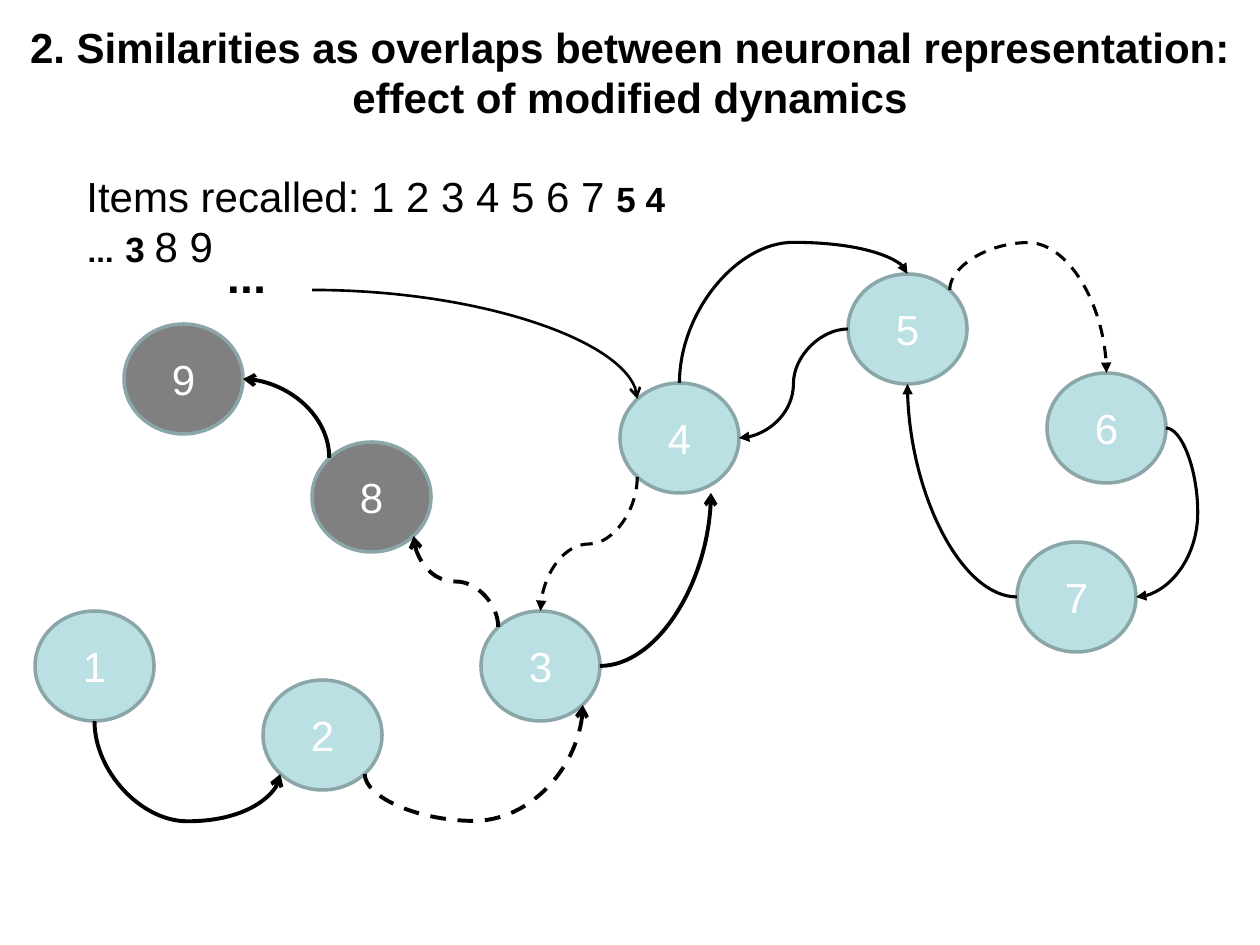
"""Build a slide of recalled items as a graph of overlapping neuronal representations."""
from dataclasses import dataclass
from typing import Optional, Union

from lxml import etree
from pptx import Presentation
from pptx.dml.color import RGBColor
from pptx.enum.dml import MSO_LINE
from pptx.enum.shapes import MSO_CONNECTOR, MSO_SHAPE
from pptx.enum.text import MSO_ANCHOR, PP_ALIGN
from pptx.oxml.ns import qn
from pptx.util import Pt

EMU_PER_PX = 914400 / 126
CURVE, ELLIPSE, DASH = MSO_CONNECTOR.CURVE, MSO_SHAPE.OVAL, MSO_LINE.DASH
MIDDLE, TOP = MSO_ANCHOR.MIDDLE, MSO_ANCHOR.TOP
CENTER, LEFT = PP_ALIGN.CENTER, PP_ALIGN.LEFT
FONT = "Arial"
COLORS = {
    "ink": "000000",
    "label": "FFFFFF",
    "visited": "BBE0E3",
    "late": "808080",
    "rim": "8AA6A8",
}
ITEM_WIDTH, ITEM_HEIGHT = 119, 110
DIAGONAL = 0.71
SIDES = {
    "N": (0, -1), "S": (0, 1), "W": (-1, 0), "E": (1, 0),
    "NW": (-DIAGONAL, -DIAGONAL), "NE": (DIAGONAL, -DIAGONAL),
    "SW": (-DIAGONAL, DIAGONAL), "SE": (DIAGONAL, DIAGONAL),
}


@dataclass(frozen=True)
class Item:
    left: int
    top: int
    fill: str = "visited"


@dataclass(frozen=True)
class Site:
    item: int
    side: str


@dataclass(frozen=True)
class Point:
    x: int
    y: int


@dataclass(frozen=True)
class Transition:
    start: Union[Site, Point]
    end: Union[Site, Point]
    bend: Optional[float] = None
    width: float = 1.75
    head: str = "triangle"
    dashed: bool = False


@dataclass(frozen=True)
class Words:
    text: str
    size: int
    bold: bool = False


@dataclass(frozen=True)
class Caption:
    left: int
    top: int
    width: int
    height: int
    words: tuple[Words, ...]
    align: PP_ALIGN = LEFT
    anchor: MSO_ANCHOR = TOP
    rtl: bool = True


ITEMS = {
    1: Item(35, 611),
    2: Item(263, 680),
    3: Item(481, 611),
    4: Item(620, 383),
    5: Item(848, 274),
    6: Item(1047, 373),
    7: Item(1017, 542),
    8: Item(312, 442, "late"),
    9: Item(124, 324, "late"),
}
TRANSITIONS = [
    Transition(Site(1, "S"), Site(2, "SW"), 1.89, 2.25, "arrow"),
    Transition(Site(2, "SE"), Site(3, "SE"), -0.68, 2.25, "arrow", True),
    Transition(Site(3, "E"), Point(711, 493), None, 2.25, "arrow"),
    Transition(Site(4, "N"), Site(5, "N"), 1.29),
    Transition(Site(5, "NE"), Site(6, "N"), -0.57, dashed=True),
    Transition(Site(6, "E"), Site(7, "E"), -1.06),
    Transition(Site(7, "W"), Site(5, "S")),
    Transition(Site(5, "W"), Site(4, "E"), 0.5),
    Transition(Site(4, "SW"), Site(3, "N"), 0.5, dashed=True),
    Transition(Site(3, "NW"), Site(8, "SE"), 0.5, 2.25, "arrow", True),
    Transition(Site(8, "NW"), Site(9, "E"), None, 2.25, "arrow"),
    Transition(Point(312, 290), Site(4, "NW"), None, 1.5, "arrow"),
]
CAPTIONS = [
    Caption(0, 18, 1260, 107, (
        Words("2. Similarities as overlaps between neuronal representation: "
              "effect of modified dynamics", 24, True),
    ), CENTER, MIDDLE, False),
    Caption(74, 164, 622, 63, (
        Words("Items recalled: 1 2 3 4 5 6 7 ", 24),
        Words("5 4 3 ", 20, True),
        Words("8 9 …", 24),
    )),
    Caption(213, 224, 69, 89, (Words("…", 36),)),
]


def emu(px: float) -> int:
    return round(px * EMU_PER_PX)


def color(name: str) -> RGBColor:
    return RGBColor.from_string(COLORS[name])


def add_words(paragraph, words: Words, ink: str) -> None:
    run = paragraph.add_run()
    run.text = words.text
    run.font.name = FONT
    run.font.size = Pt(words.size)
    run.font.bold = words.bold
    run.font.color.rgb = color(ink)


def draw_caption(slide, caption: Caption) -> None:
    box = slide.shapes.add_textbox(
        emu(caption.left), emu(caption.top), emu(caption.width), emu(caption.height))
    frame = box.text_frame
    frame.word_wrap = True
    frame.vertical_anchor = caption.anchor
    paragraph = frame.paragraphs[0]
    paragraph.alignment = caption.align
    if caption.rtl:
        paragraph._p.get_or_add_pPr().set("rtl", "1")
    for words in caption.words:
        add_words(paragraph, words, "ink")


def draw_item(slide, number: int, item: Item) -> None:
    ellipse = slide.shapes.add_shape(
        ELLIPSE, emu(item.left), emu(item.top), emu(ITEM_WIDTH), emu(ITEM_HEIGHT))
    ellipse.shadow.inherit = False
    ellipse.fill.solid()
    ellipse.fill.fore_color.rgb = color(item.fill)
    ellipse.line.color.rgb = color("rim")
    ellipse.line.width = Pt(2)
    ellipse.text_frame.vertical_anchor = MIDDLE
    paragraph = ellipse.text_frame.paragraphs[0]
    paragraph.alignment = CENTER
    add_words(paragraph, Words(str(number), 24), "label")


def locate(place: Union[Site, Point]) -> tuple[float, float]:
    if isinstance(place, Point):
        return place.x, place.y
    item, (across, down) = ITEMS[place.item], SIDES[place.side]
    return (item.left + ITEM_WIDTH / 2 * (1 + across),
            item.top + ITEM_HEIGHT / 2 * (1 + down))


def draw_transition(slide, transition: Transition) -> None:
    (x1, y1), (x2, y2) = locate(transition.start), locate(transition.end)
    upright = isinstance(transition.start, Site) and transition.start.side not in ("E", "W")
    run, rise = (y2 - y1, x1 - x2) if upright else (x2 - x1, y2 - y1)
    mid_x, mid_y = (x1 + x2) / 2, (y1 + y2) / 2
    curve = slide.shapes.add_connector(
        CURVE, emu(mid_x - run / 2), emu(mid_y - rise / 2),
        emu(mid_x + run / 2), emu(mid_y + rise / 2))
    curve.line.color.rgb = color("ink")
    curve.line.width = Pt(transition.width)
    if transition.dashed:
        curve.line.dash_style = DASH
    properties = curve._element.spPr
    if upright:
        properties.find(qn("a:xfrm")).set("rot", "5400000")
    geometry = properties.find(qn("a:prstGeom"))
    if transition.bend is None:
        geometry.set("prst", "curvedConnector2")
    else:
        etree.SubElement(geometry.find(qn("a:avLst")), qn("a:gd"),
                         name="adj1", fmla=f"val {round(transition.bend * 100000)}")
    etree.SubElement(properties.find(qn("a:ln")), qn("a:tailEnd"), type=transition.head)
    etree.SubElement(properties, qn("a:effectLst"))


def main() -> None:
    deck = Presentation()
    deck.slide_width, deck.slide_height = emu(1260), emu(945)
    slide = deck.slides.add_slide(deck.slide_layouts[6])
    for caption in CAPTIONS:
        draw_caption(slide, caption)
    for number, item in ITEMS.items():
        draw_item(slide, number, item)
    for transition in TRANSITIONS:
        draw_transition(slide, transition)
    deck.save("out.pptx")


if __name__ == "__main__":
    main()
